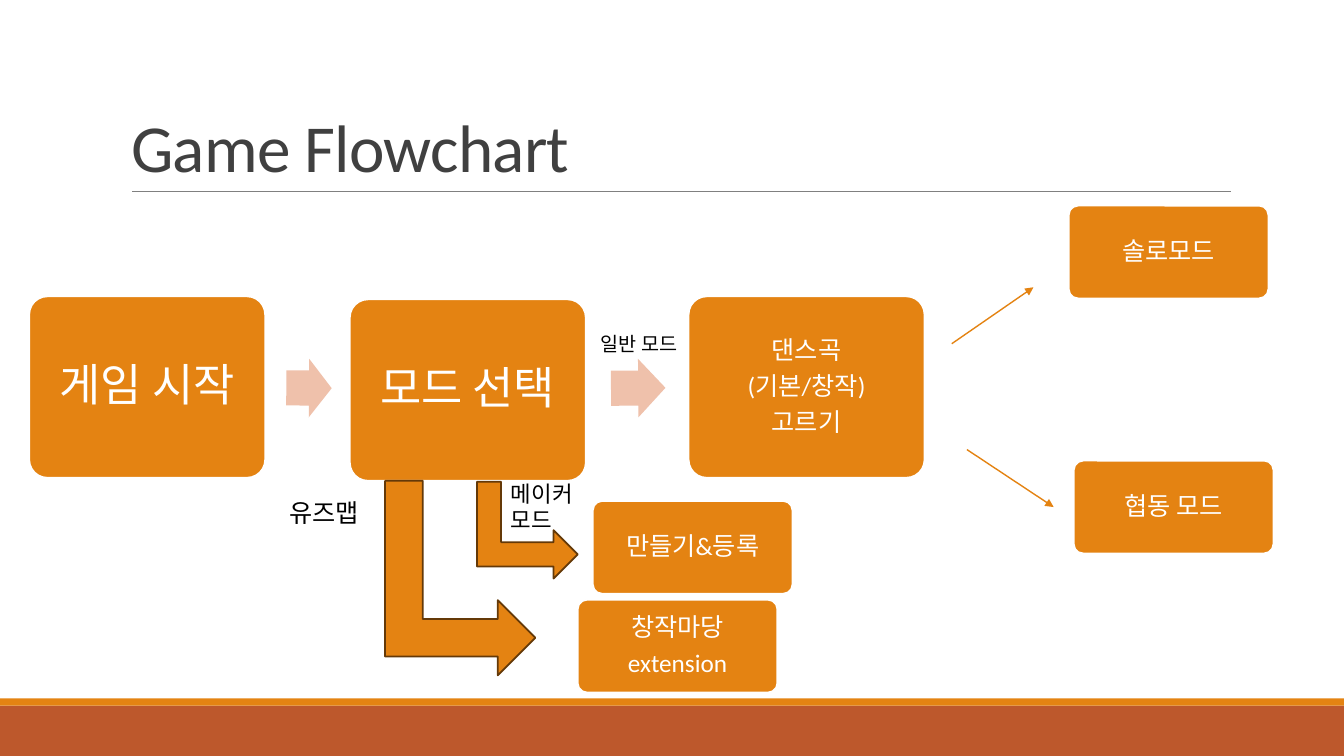
"""Build the Game Flowchart slide."""
import pptx
import pptx.util
import pptx.dml.color
import pptx.enum.shapes
import pptx.enum.text
import pptx.oxml
import pptx.oxml.ns

Inches, Pt = pptx.util.Inches, pptx.util.Pt
RGB = pptx.dml.color.RGBColor
SHAPE = pptx.enum.shapes.MSO_SHAPE
ANCHOR = pptx.enum.text.MSO_ANCHOR
ALIGN = pptx.enum.text.PP_ALIGN

ORANGE = RGB(0xE4, 0x83, 0x12)
RUST = RGB(0xBD, 0x58, 0x2C)
PEACH = RGB(0xEF, 0xC1, 0xAB)
BROWN = RGB(0x64, 0x39, 0x08)
GREY = RGB(0x80, 0x80, 0x80)
DARK = RGB(0x40, 0x40, 0x40)
BLACK = RGB(0, 0, 0)
WHITE = RGB(255, 255, 255)
FONT = "Calibri"

TITLE = "Game Flowchart"
BIG, SMALL = (2.34, 1.8), (1.98, 0.92)
STEPS = [
    ("게임 시작", 0.29, 2.94, BIG, 32, 0.18),
    ("모드 선택", 3.47, 2.97, BIG, 32, 0.18),
    ("댄스곡\n(기본/창작)\n고르기", 6.83, 2.94, BIG, 18, 0.12),
    ("솔로모드", 10.6, 2.04, SMALL, 18, 0.14),
    ("협동 모드", 10.65, 4.57, SMALL, 18, 0.14),
    ("만들기&등록", 5.88, 4.97, SMALL, 18, 0.14),
    ("창작마당\nextension", 5.73, 5.95, SMALL, 18, 0.14),
]
NEXT_ARROWS = [(2.84, 3.56, 0.45, 0.58, 0.5), (6.06, 3.56, 0.54, 0.58, 359.5)]
BRANCH_ARROWS = [(4.75, 4.76, 0.96, 1), (3.6, 4.99, 1.93, 1.49)]
LABELS = [
    ("메이커 모드", 4.97, 4.71, 1, 0.64, 16),
    ("일반 모드", 5.86, 3.24, 1.22, 0.34, 14),
    ("유즈맵", 2.77, 4.88, 1.17, 0.4, 18),
]
MODE_LINES = [(9.44, 3.41, 10.25, 2.85), (9.59, 4.46, 10.45, 5.03)]
BARS = [(7, 0.5, RUST), (6.93, 0.07, ORANGE)]
RULE = (1.31, 1.9, 12.21, 1.9)


def add_shape(s, kind, box, fill, line=None):
    sp = s.shapes.add_shape(kind, *map(Inches, box))
    sp.shadow.inherit = False
    sp.fill.solid()
    sp.fill.fore_color.rgb = fill
    if line is None:
        sp.line.fill.background()
    else:
        sp.line.color.rgb = line
        sp.line.width = Pt(1.25)
    return sp


def add_line(s, ends, color, width):
    cx = s.shapes.add_connector(
        pptx.enum.shapes.MSO_CONNECTOR.STRAIGHT, *map(Inches, ends))
    cx.line.color.rgb = color
    cx.line.width = Pt(width)
    pptx.oxml.ns.qn("a:effectLst")
    cx._element.spPr.append(
        pptx.oxml.parse_xml(f"<a:effectLst {pptx.oxml.ns.nsdecls('a')}/>"))
    return cx


def style_runs(p, size, color):
    for r in p.runs:
        r.font.name = FONT
        r.font.size = Pt(size)
        r.font.color.rgb = color


def add_step(s, text, x, y, size, points, inset):
    sp = add_shape(s, SHAPE.ROUNDED_RECTANGLE, (x, y, *size), ORANGE, WHITE)
    sp.adjustments[0] = 0.1
    tf = sp.text_frame
    tf.text = text
    tf.word_wrap = True
    tf.vertical_anchor = ANCHOR.MIDDLE
    tf.margin_left = tf.margin_right = Inches(inset)
    tf.margin_top = tf.margin_bottom = Inches(inset)
    for p in tf.paragraphs:
        p.alignment = ALIGN.CENTER
        p.line_spacing = 0.9
        p.space_after = Pt(points * 0.35)
        style_runs(p, points, WHITE)


def add_label(s, text, x, y, w, h, points):
    tf = s.shapes.add_textbox(*map(Inches, (x, y, w, h))).text_frame
    tf.text = text
    tf.word_wrap = True
    tf.auto_size = pptx.enum.text.MSO_AUTO_SIZE.SHAPE_TO_FIT_TEXT
    style_runs(tf.paragraphs[0], points, BLACK)


def add_title(s):
    title = s.shapes.title
    title.left, title.top = Inches(1.2), Inches(0.31)
    title.width, title.height = Inches(11), Inches(1.59)
    tf = title.text_frame
    tf.text = TITLE
    tf.word_wrap = True
    tf.vertical_anchor = ANCHOR.BOTTOM
    p = tf.paragraphs[0]
    p.alignment = ALIGN.LEFT
    p.line_spacing = 0.85
    style_runs(p, 48, DARK)
    p.runs[0]._r.get_or_add_rPr().set("spc", "-50")


def main():
    prs = pptx.Presentation()
    prs.slide_width, prs.slide_height = Inches(13.33), Inches(7.5)
    s = prs.slides.add_slide(prs.slide_layouts[5])
    for top, height, color in BARS:
        add_shape(s, SHAPE.RECTANGLE, (0, top, 13.33, height), color)
    add_line(s, RULE, GREY, 0.5)
    add_title(s)
    for step in STEPS:
        add_step(s, *step)
    for *box, angle in NEXT_ARROWS:
        sp = add_shape(s, SHAPE.RIGHT_ARROW, box, PEACH)
        sp.adjustments[0] = 0.6
        sp.rotation = angle
    for box in BRANCH_ARROWS:
        add_shape(s, SHAPE.BENT_UP_ARROW, box, ORANGE, BROWN).rotation = 90
    for label in LABELS:
        add_label(s, *label)
    for ends in MODE_LINES:
        ln = add_line(s, ends, ORANGE, 1).line._get_or_add_ln()
        ln.append(pptx.oxml.parse_xml(
            f"<a:tailEnd {pptx.oxml.ns.nsdecls('a')} type='triangle'/>"))
    prs.save("out.pptx")


if __name__ == "__main__":
    main()
